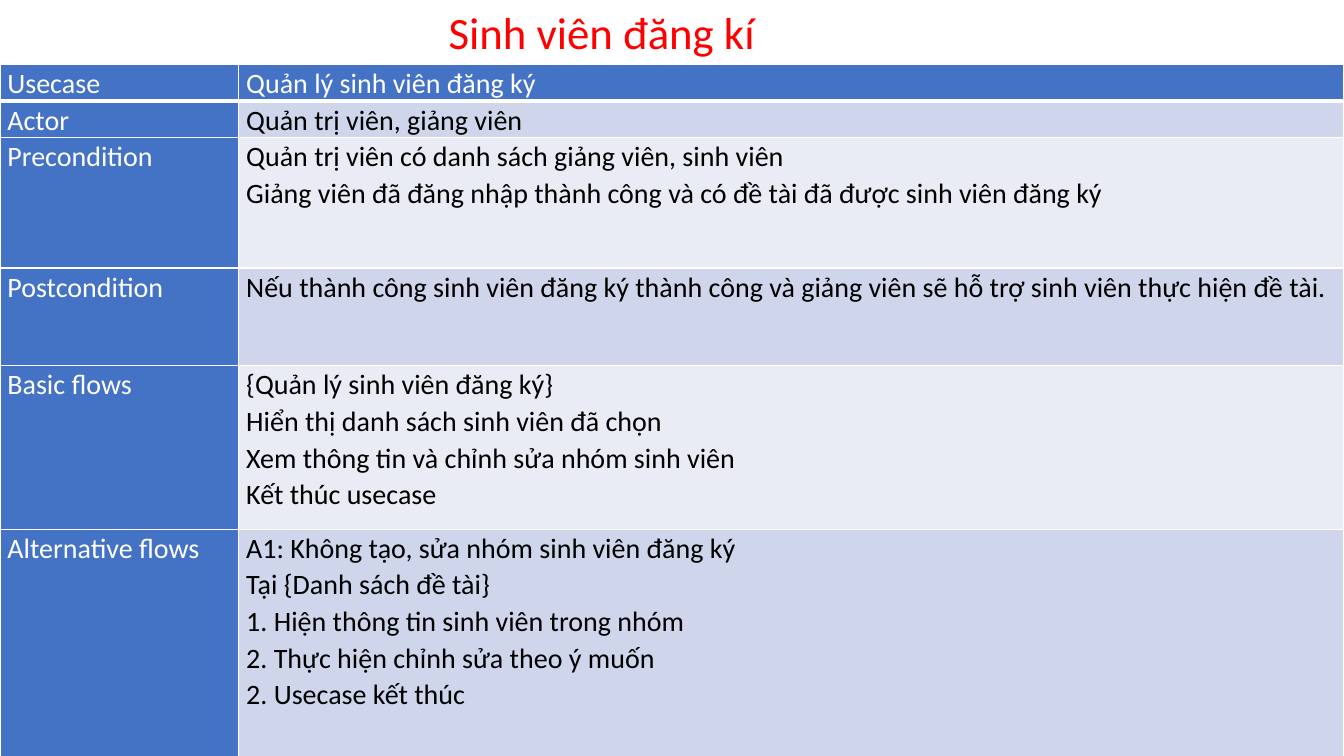
from dataclasses import dataclass

from lxml import etree
from pptx import Presentation
from pptx.dml.color import RGBColor
from pptx.enum.text import MSO_ANCHOR, PP_ALIGN
from pptx.oxml.ns import qn
from pptx.util import Pt

TOP, LEFT = MSO_ANCHOR.TOP, PP_ALIGN.LEFT
TITLE_ONLY = 5

TITLE = "Sinh viên đăng kí"
# label, lines of text, row height
ROWS = [
    ("Usecase", ["Quản lý sinh viên đăng ký"], 25.2),
    ("Actor", ["Quản trị viên, giảng viên"], 25.2),
    ("Precondition", [
        "Quản trị viên có danh sách giảng viên, sinh viên",
        "Giảng viên đã đăng nhập thành công và có đề tài đã được sinh viên đăng ký",
    ], 93),
    ("Postcondition", [
        "Nếu thành công sinh viên đăng ký thành công và giảng viên sẽ hỗ trợ "
        "sinh viên thực hiện đề tài.",
    ], 69.8),
    ("Basic flows", [
        "{Quản lý sinh viên đăng ký}",
        "Hiển thị danh sách sinh viên đã chọn",
        "Xem thông tin và chỉnh sửa nhóm sinh viên",
        "Kết thúc usecase",
    ], 116.8),
    ("Alternative flows", [
        "A1: Không tạo, sửa nhóm sinh viên đăng ký",
        "Tại {Danh sách đề tài}",
        "1. Hiện thông tin sinh viên trong nhóm",
        "2. Thực hiện chỉnh sửa theo ý muốn",
        "2. Usecase kết thúc",
    ], 164),
]


@dataclass(frozen=True)
class Theme:
    font: str = "Calibri"
    title_size: float = 32
    body_size: float = 20
    line_spacing: float = 1.07
    title: str = "FF0000"
    accent: str = "4472C4"
    bands: tuple = ("E9EBF5", "CFD5EA")
    light: str = "FFFFFF"
    dark: str = "000000"


THEME = Theme()
SLIDE_W, SLIDE_H = 960, 540
TITLE_LEFT, TITLE_H = 313.2, 46
LABEL_W = 170.6
CELL_INSET = 5.3


def format_text(tf, size, color, spacing=1.0):
    for p in tf.paragraphs:
        p.alignment = LEFT
        p.line_spacing = spacing
        for r in p.runs:
            r.font.name = THEME.font
            r.font.size = Pt(size)
            r.font.bold = False
            r.font.color.rgb = RGBColor.from_string(color)


def set_borders(cell, bottom_width):
    tc_pr = cell._tc.get_or_add_tcPr()
    for side, width in (("L", 1), ("R", 1), ("T", 1), ("B", bottom_width)):
        ln = etree.SubElement(tc_pr, qn(f"a:ln{side}"), w=str(Pt(width)))
        fill = etree.SubElement(ln, qn("a:solidFill"))
        etree.SubElement(fill, qn("a:srgbClr"), val=THEME.light)


def fill_cell(cell, lines, fill, color, bottom_width):
    set_borders(cell, bottom_width)
    cell.fill.solid()
    cell.fill.fore_color.rgb = RGBColor.from_string(fill)
    cell.margin_left = cell.margin_right = Pt(CELL_INSET)
    cell.margin_top = cell.margin_bottom = 0
    cell.vertical_anchor = TOP
    cell.text_frame.text = "\n".join(lines)
    format_text(cell.text_frame, THEME.body_size, color, THEME.line_spacing)


def add_title(s):
    sp = s.shapes.title
    sp.left, sp.top = Pt(TITLE_LEFT), 0
    sp.width, sp.height = Pt(SLIDE_W - TITLE_LEFT), Pt(TITLE_H)
    tf = sp.text_frame
    tf.text = TITLE
    tf.word_wrap = True
    tf.vertical_anchor = TOP
    format_text(tf, THEME.title_size, THEME.title)


def add_usecase_table(s):
    frame = s.shapes.add_table(len(ROWS), 2, 0, Pt(TITLE_H),
                               Pt(SLIDE_W), Pt(SLIDE_H - TITLE_H))
    table = frame.table
    table.first_row = table.horz_banding = False
    table.columns[0].width = Pt(LABEL_W)
    table.columns[1].width = Pt(SLIDE_W - LABEL_W)
    for i, (label, lines, height) in enumerate(ROWS):
        header = i == 0
        table.rows[i].height = Pt(height)
        bottom_width = 3 if header else 1
        fill = THEME.accent if header else THEME.bands[i % 2]
        color = THEME.light if header else THEME.dark
        fill_cell(table.cell(i, 0), [label], THEME.accent, THEME.light, bottom_width)
        fill_cell(table.cell(i, 1), lines, fill, color, bottom_width)


def main():
    prs = Presentation()
    prs.slide_width, prs.slide_height = Pt(SLIDE_W), Pt(SLIDE_H)
    s = prs.slides.add_slide(prs.slide_layouts[TITLE_ONLY])
    add_title(s)
    add_usecase_table(s)
    prs.save("out.pptx")


if __name__ == "__main__":
    main()
